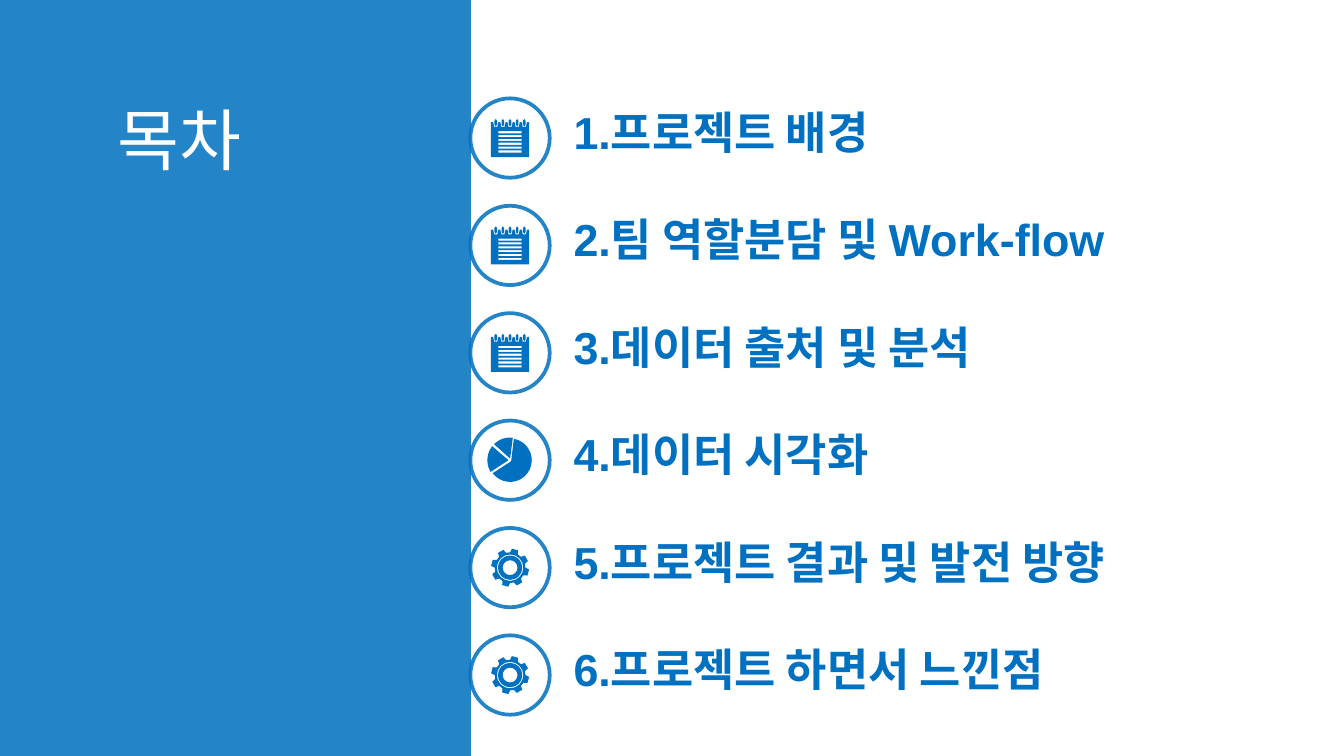
"""Build a Korean table-of-contents slide with an icon beside each entry."""
import math
from dataclasses import dataclass

from pptx import Presentation
from pptx import util as u
from pptx.dml.color import RGBColor
from pptx.enum import shapes, text
from pptx.oxml.ns import qn
from lxml import etree


@dataclass(frozen=True)
class Theme:
    blue: RGBColor = RGBColor(0x00, 0x70, 0xC0)
    white: RGBColor = RGBColor(0xFF, 0xFF, 0xFF)
    font: str = "Arial"
    title_size: u.Pt = u.Pt(36)
    entry_size: u.Pt = u.Pt(24)
    line_height: u.Pt = u.Pt(28.8)
    ring_width: u.Pt = u.Pt(2)
    panel_opacity: int = 86
    ring_opacity: int = 85


def arc(radius, start, end, steps):
    angles = [math.radians(start + (end - start) * i / steps) for i in range(steps + 1)]
    return [(radius * math.cos(a), radius * math.sin(a)) for a in angles]


def disc(radius, steps=16):
    return arc(radius, 0, 360, steps)[:-1]


def box(left, top, right, bottom):
    return [(left, top), (right, top), (right, bottom), (left, bottom)]


def notepad():
    bindings = [0.135 * (i - 2) for i in range(5)]
    notch = [(-0.05, -0.3), (-0.03, -0.21), (0.03, -0.21), (0.05, -0.3)]
    page = [(-0.36, -0.3), *((x + a, y) for x in bindings for a, y in notch),
            (0.36, -0.3), (0.36, 0.36), (-0.36, 0.36)]
    rules = [box(-0.22, y, 0.22, y + 0.04) for y in (-0.13 + 0.073 * i for i in range(6))]
    loops = [[(x + 0.03 * a, -0.29 + 0.07 * b) for b, a in disc(1, 6)] for x in bindings]
    return [page, *rules, *loops]


def pie():
    slices = [((0.02, 0.02), 0.41, -80, 143), ((-0.03, 0), 0.43, 149, 218),
              ((0, -0.03), 0.43, 225, 277)]
    return [[apex, *arc(radius, start, end, round((end - start) / 12))]
            for apex, radius, start, end in slices]


def gear():
    profile = [(-15, 0.29), (-9.5, 0.36), (9.5, 0.36), (15, 0.29)]
    angles = [(math.radians(45 * tooth + 15 + offset), radius)
              for tooth in range(8) for offset, radius in profile]
    rim = [(radius * math.cos(a), radius * math.sin(a)) for a, radius in angles]
    return [rim, disc(0.25), disc(0.23), disc(0.14)]


class SlideBuilder:
    def __init__(self, slide, theme):
        self.slide = slide
        self.theme = theme

    def paint(self, shape, color):
        shape.shadow.inherit = False
        shape.fill.solid()
        shape.fill.fore_color.rgb = color
        shape.line.fill.background()

    def preset(self, kind, left, top, width, height, color):
        shape = self.slide.shapes.add_shape(
            kind, u.Cm(left), u.Cm(top), u.Cm(width), u.Cm(height))
        self.paint(shape, color)
        return shape

    def fade(self, properties, opacity):
        color = properties.find(f"{qn('a:solidFill')}/{qn('a:srgbClr')}")
        etree.SubElement(color, qn("a:alpha")).set("val", str(opacity * 1000))

    def panel(self, width, height):
        shape = self.preset(shapes.MSO_SHAPE.RECTANGLE, 0, 0, width, height, self.theme.blue)
        self.fade(shape.element.spPr, self.theme.panel_opacity)

    def badge(self, left, top, size, outlines):
        circle = self.preset(shapes.MSO_SHAPE.OVAL, left, top, size, size, self.theme.white)
        circle.line.color.rgb = self.theme.blue
        circle.line.width = self.theme.ring_width
        self.fade(circle.element.spPr.find(qn("a:ln")), self.theme.ring_opacity)
        self.icon(left + size / 2, top + size / 2, outlines)

    def icon(self, center_x, center_y, outlines):
        contours = [[(u.Cm(center_x + x), u.Cm(center_y + y)) for x, y in outline]
                    for outline in outlines]
        builder = self.slide.shapes.build_freeform(*contours[0][0])
        for index, contour in enumerate(contours):
            if index:
                builder.move_to(*contour[0])
            builder.add_line_segments(contour[1:], close=True)
        self.paint(builder.convert_to_shape(), self.theme.blue)

    def textbox(self, left, top, width, height, lines, size, color, bold=False):
        frame = self.slide.shapes.add_textbox(
            u.Cm(left), u.Cm(top), u.Cm(width), u.Cm(height)).text_frame
        frame.word_wrap = True
        frame.text = "\n".join(lines)
        for paragraph in frame.paragraphs:
            for run in paragraph.runs:
                run.font.name = self.theme.font
                run.font.size = size
                run.font.bold = bold
                run.font.color.rgb = color
        return frame

    def title(self, left, top, width, height, caption):
        frame = self.textbox(left, top, width, height, [caption],
                             self.theme.title_size, self.theme.white)
        frame.vertical_anchor = text.MSO_ANCHOR.MIDDLE
        frame.paragraphs[0].alignment = text.PP_ALIGN.CENTER

    def contents(self, left, top, width, height, entries):
        frame = self.textbox(left, top, width, height, entries,
                             self.theme.entry_size, self.theme.blue, bold=True)
        frame.auto_size = text.MSO_AUTO_SIZE.SHAPE_TO_FIT_TEXT
        for index, paragraph in enumerate(frame.paragraphs):
            paragraph.line_spacing = self.theme.line_height
            paragraph.space_before = self.theme.line_height if index else u.Pt(0)


def main():
    presentation = Presentation()
    presentation.slide_width, presentation.slide_height = u.Cm(25.4), u.Cm(14.29)
    slide = presentation.slides.add_slide(presentation.slide_layouts[6])
    builder = SlideBuilder(slide, Theme())

    entries = [
        ("프로젝트 배경", notepad),
        ("팀 역할분담 및 Work-flow", notepad),
        ("데이터 출처 및 분석", notepad),
        ("데이터 시각화", pie),
        ("프로젝트 결과 및 발전 방향", gear),
        ("프로젝트 하면서 느낀점", gear),
    ]
    builder.panel(8.9, 14.29)
    builder.title(-0.71, 1.02, 8.2, 3.2, "목차")
    for index, (_, icon) in enumerate(entries):
        builder.badge(8.89, 1.86 + 2.03 * index, 1.5, icon())
    builder.contents(10.59, 1.85, 11.99, 11.53,
                     [f"{number}.{name}" for number, (name, _) in enumerate(entries, 1)])
    presentation.save("out.pptx")


if __name__ == "__main__":
    main()
